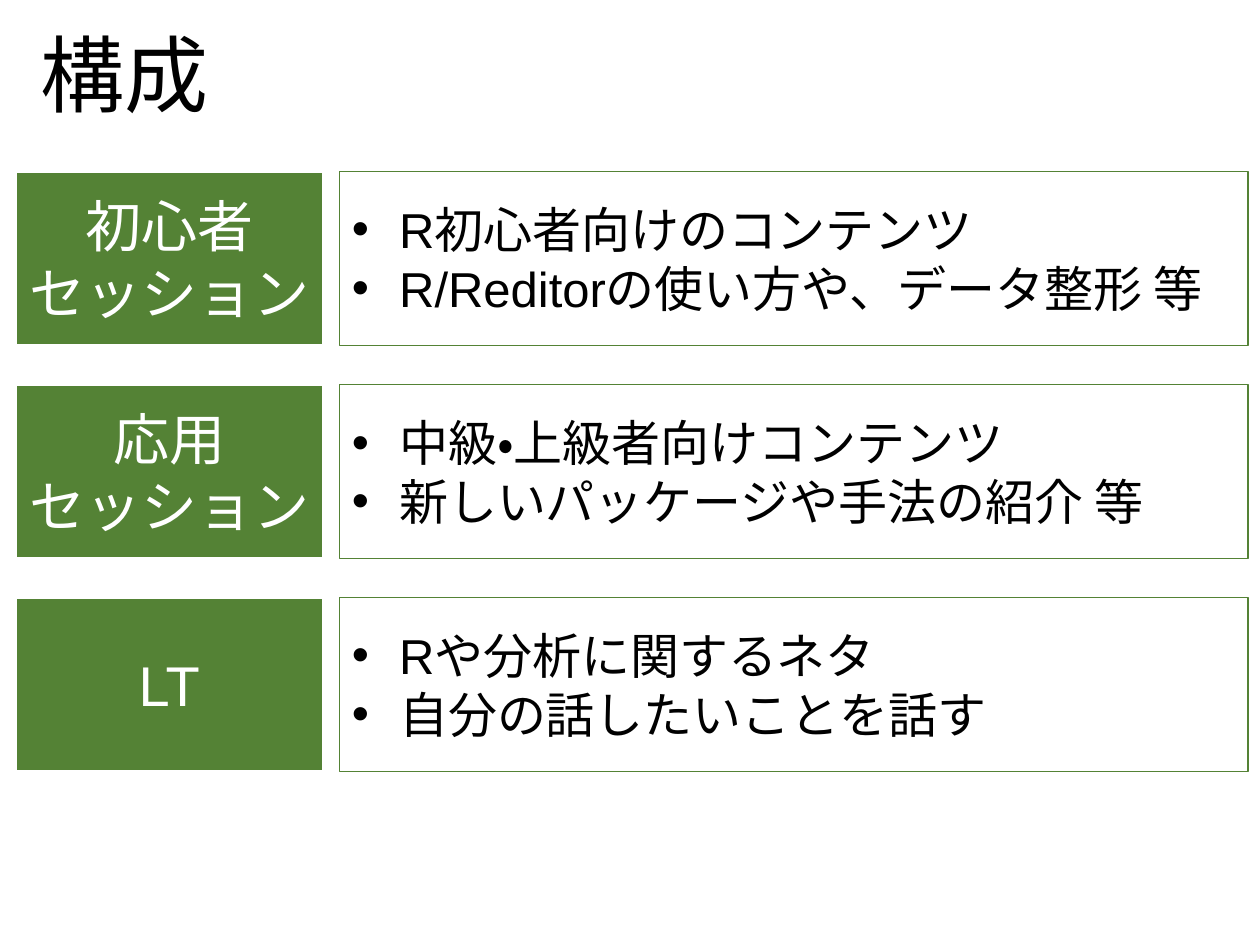
from lxml.etree import SubElement
from pptx import Presentation
from pptx.dml.color import RGBColor
from pptx.enum.lang import MSO_LANGUAGE_ID
from pptx.enum.shapes import MSO_SHAPE
from pptx.enum.text import MSO_ANCHOR, MSO_AUTO_SIZE, PP_ALIGN
from pptx.oxml.ns import qn
from pptx.util import Pt

GREEN = RGBColor(0x54, 0x82, 0x35)
WHITE = RGBColor(0xFF, 0xFF, 0xFF)
BLACK = RGBColor(0, 0, 0)

TITLE = "構成"
ROWS = [
    (["初心者", "セッション"],
     ["R初心者向けのコンテンツ", "R/Reditorの使い方や、データ整形 等"]),
    (["応用", "セッション"],
     ["中級・上級者向けコンテンツ", "新しいパッケージや手法の紹介 等"]),
    (["LT"],
     ["Rや分析に関するネタ", "自分の話したいことを話す"]),
]


def write(frame, lines, size, color, align=PP_ALIGN.LEFT):
    """Fill a text frame with one paragraph per line."""
    style = {"name": "Arial", "size": Pt(size),
             "language_id": MSO_LANGUAGE_ID.JAPANESE}
    for i, line in enumerate(lines):
        para = frame.add_paragraph() if i else frame.paragraphs[0]
        para.alignment = align
        run = para.add_run()
        run.text = line
        for key, value in style.items():
            setattr(run.font, key, value)
        run.font.color.rgb = color


def add_bullets(frame, indent):
    """Give each paragraph a round bullet with a hanging indent."""
    for para in frame.paragraphs:
        props = para._p.get_or_add_pPr()
        props.set("marL", str(Pt(indent)))
        props.set("indent", str(-Pt(indent)))
        SubElement(props, qn("a:buFont"), typeface="Arial")
        SubElement(props, qn("a:buChar"), char="•")


def add_panel(slide, x, y, w, h, fill, edge, weight):
    """Draw a filled rectangle and return its text frame."""
    panel = slide.shapes.add_shape(
        MSO_SHAPE.RECTANGLE, Pt(x), Pt(y), Pt(w), Pt(h))
    panel.shadow.inherit = False
    panel.fill.solid()
    panel.fill.fore_color.rgb = fill
    panel.line.color.rgb = edge
    panel.line.width = Pt(weight)
    frame = panel.text_frame
    frame.word_wrap = True
    frame.vertical_anchor = MSO_ANCHOR.MIDDLE
    return frame


def add_title(slide, x, y, w, h):
    box = slide.shapes.add_textbox(Pt(x), Pt(y), Pt(w), Pt(h))
    frame = box.text_frame
    frame.word_wrap = False
    frame.auto_size = MSO_AUTO_SIZE.SHAPE_TO_FIT_TEXT
    write(frame, [TITLE], 48, BLACK)


def add_row(slide, x, y, w, h, label, points):
    """Place a green label and its bullet panel side by side."""
    side, gap = 175.5, 9.5

    # Session label
    frame = add_panel(slide, x, y, side, h, GREEN, WHITE, 1.5)
    write(frame, label, 32, WHITE, PP_ALIGN.CENTER)

    # Session contents
    left = side + gap
    frame = add_panel(slide, x + left, y, w - left, h, WHITE, GREEN, 1)
    write(frame, points, 28, BLACK)
    add_bullets(frame, 27)


def main():
    deck = Presentation()
    deck.slide_width, deck.slide_height = Pt(720), Pt(540)
    slide = deck.slides.add_slide(deck.slide_layouts[6])

    add_title(slide, 16, 9.5, 111.5, 65.5)

    # Session rows at an even pitch
    top, pitch = 98, 121.7
    for i, (label, points) in enumerate(ROWS):
        add_row(slide, 9, top + i * pitch, 704, 99.5, label, points)

    deck.save("out.pptx")


if __name__ == "__main__":
    main()
